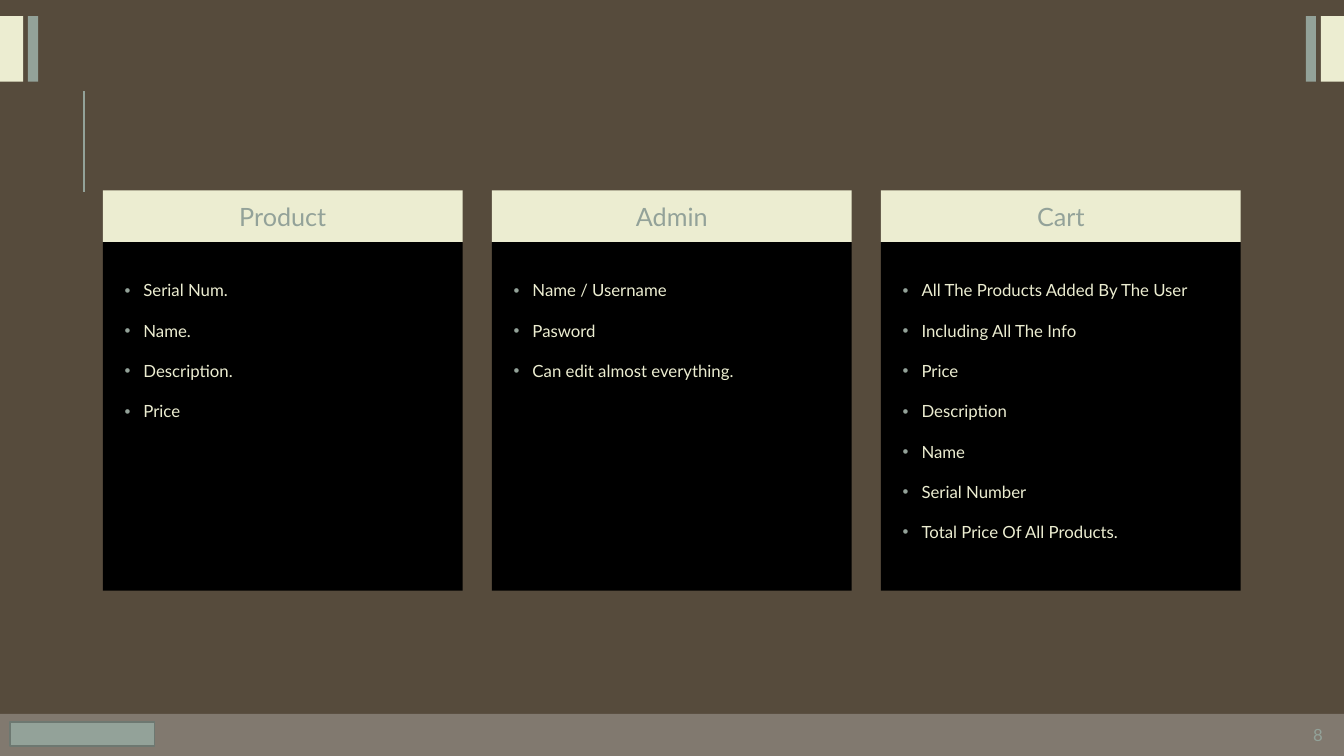
"""Build a slide with three cards listing the Product, Admin and Cart fields."""
import pptx
import pptx.dml.color
import pptx.enum.shapes
import pptx.enum.text
import pptx.util
from lxml import etree
from pptx.oxml.ns import qn

Pt = pptx.util.Pt
RGB = pptx.dml.color.RGBColor.from_string
ALIGN = pptx.enum.text.PP_ALIGN
ANCHOR = pptx.enum.text.MSO_ANCHOR

CARDS = [
    ("Product", ["Serial Num.", "Name.", "Description.", "Price"]),
    ("Admin", ["Name / Username", "Pasword", "Can edit almost everything."]),
    ("Cart", ["All The Products Added By The User", "Including All The Info",
              "Price", "Description", "Name", "Serial Number",
              "Total Price Of All Products."]),
]
PAGE = "8"

THEME = dict(bg="564B3C", cream="ECEDD1", sage="93A299", edge="6D7871",
             card="000000", footer="E6E6E6", font="Lato", head=18, body=12)
W, H = 960, 540
CARD_X, CARD_Y, CARD_W, PITCH = 73.5, 136, 257, 277.9
HEAD_H, BODY_H = 37, 249
PAD, INDENT = 8.4, 13.5
TAB_Y, TAB_H = 11.5, 46.8
TABS = [(0, 16.5, "cream"), (20, 7.2, "sage")]
FOOTER_Y = 510

prs = pptx.Presentation()
prs.slide_width, prs.slide_height = Pt(W), Pt(H)
s = prs.slides.add_slide(prs.slide_layouts[6])
s.background.fill.solid()
s.background.fill.fore_color.rgb = RGB(THEME["bg"])


def add_rect(x, y, w, h, fill, line=None, alpha=None):
    """Add a flat rectangle."""
    sp = s.shapes.add_shape(pptx.enum.shapes.MSO_SHAPE.RECTANGLE,
                            Pt(x), Pt(y), Pt(w), Pt(h))
    sp.shadow.inherit = False
    sp.fill.solid()
    sp.fill.fore_color.rgb = RGB(THEME[fill])
    if alpha:
        clr = sp.fill._xPr.find(qn("a:solidFill"))[0]
        etree.SubElement(clr, qn("a:alpha"), val=str(alpha * 1000))
    if line:
        sp.line.color.rgb = RGB(THEME[line])
        sp.line.width = Pt(1.25)
    else:
        sp.line.fill.background()


def add_bullet(p):
    """Give a paragraph a sage bullet with a hanging indent."""
    pPr = p._p.get_or_add_pPr()
    pPr.set("marL", str(Pt(INDENT)))
    pPr.set("indent", str(-Pt(INDENT)))
    clr = etree.SubElement(pPr, qn("a:buClr"))
    etree.SubElement(clr, qn("a:srgbClr"), val=THEME["sage"])
    etree.SubElement(pPr, qn("a:buFont"), typeface="Arial")
    etree.SubElement(pPr, qn("a:buChar"), char="•")


def add_text(lines, x, y, w, h, size="body", color="cream", align=ALIGN.LEFT,
             anchor=ANCHOR.TOP, spacing=1.0, bullet=False):
    """Add a text box with one paragraph per line."""
    tf = s.shapes.add_textbox(Pt(x), Pt(y), Pt(w), Pt(h)).text_frame
    tf.word_wrap = True
    tf.vertical_anchor = anchor
    for i, line in enumerate(lines):
        p = tf.add_paragraph() if i else tf.paragraphs[0]
        p.alignment, p.line_spacing = align, spacing
        if bullet:
            add_bullet(p)
        r = p.add_run()
        r.text = line
        r.font.name, r.font.size = THEME["font"], Pt(THEME[size])
        r.font.color.rgb = RGB(THEME[color])


rule = s.shapes.add_connector(pptx.enum.shapes.MSO_CONNECTOR.STRAIGHT,
                              Pt(60), Pt(137), Pt(60), Pt(65))
rule.line.color.rgb = RGB(THEME["sage"])
rule.line.width = Pt(1.5)
etree.SubElement(rule._element.spPr, qn("a:effectLst"))

add_rect(0, FOOTER_Y, W, H - FOOTER_Y, "footer", alpha=30)
for x, w, fill in TABS:
    for left in (x, W - x - w):
        add_rect(left, TAB_Y, w, TAB_H, fill)

for i, (title, items) in enumerate(CARDS):
    x = CARD_X + i * PITCH
    body_y = CARD_Y + HEAD_H
    inner = x + PAD, CARD_W - 2 * PAD
    add_rect(x, CARD_Y, CARD_W, HEAD_H, "cream")
    add_text([title], inner[0], CARD_Y, inner[1], HEAD_H, size="head",
             color="sage", align=ALIGN.CENTER, anchor=ANCHOR.MIDDLE)
    add_rect(x, body_y, CARD_W, BODY_H, "card")
    add_text(items, inner[0], body_y + 9.2, inner[1], 7.2 + 28.8 * len(items),
             spacing=2.0, bullet=True)

add_rect(7.3, 515.8, 103, 17, "sage", line="edge")
add_text([PAGE], 902, FOOTER_Y, 50, H - FOOTER_Y, color="sage",
         align=ALIGN.RIGHT, anchor=ANCHOR.MIDDLE)
prs.save("out.pptx")
